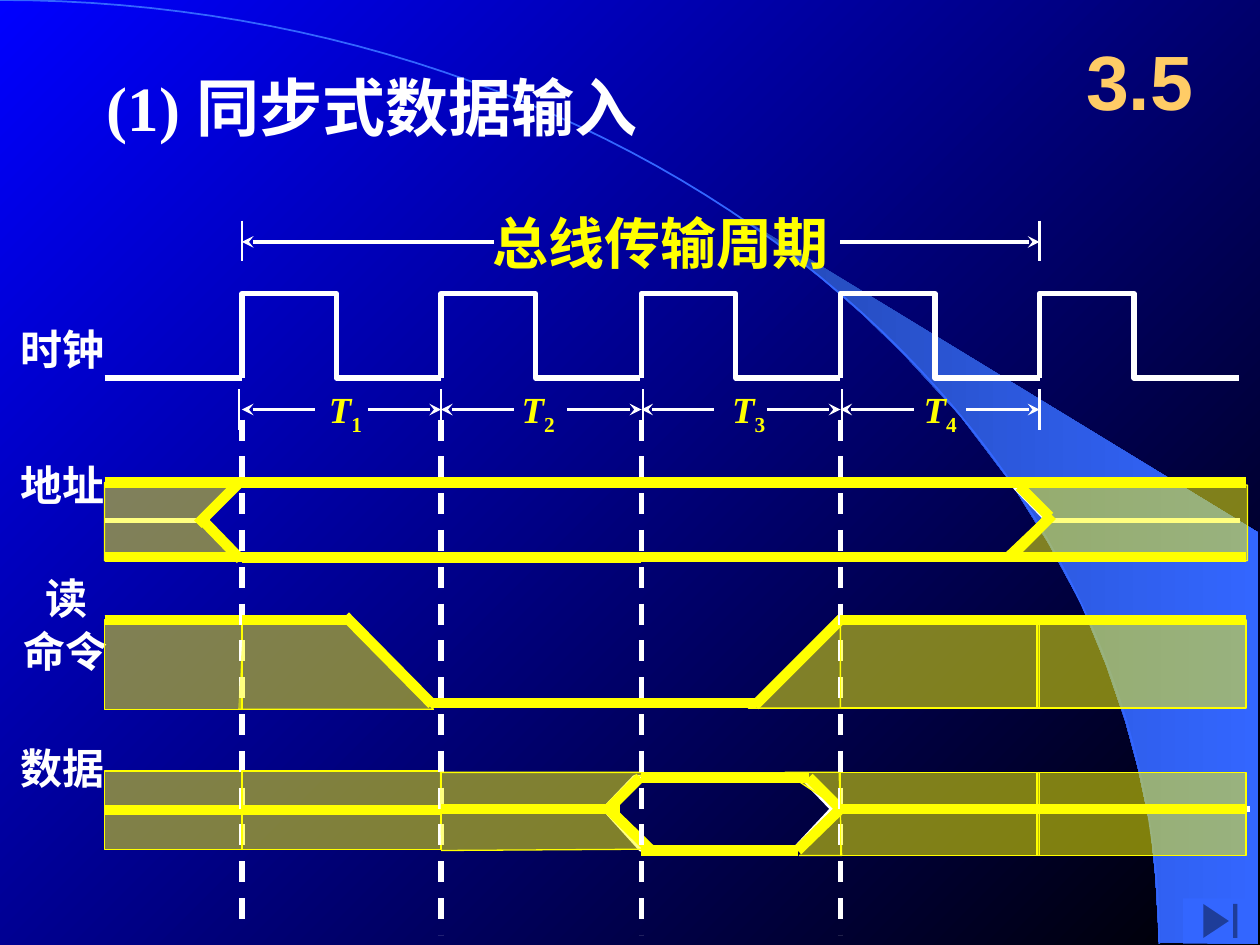
from dataclasses import dataclass
from itertools import pairwise
from math import cos, pi, sin

from lxml.etree import SubElement
from pptx import Presentation
from pptx.dml.color import RGBColor
from pptx.enum.dml import MSO_LINE_DASH_STYLE as Dash
from pptx.enum.shapes import MSO_CONNECTOR as Connector, MSO_SHAPE as Preset
from pptx.enum.text import MSO_ANCHOR as Anchor, PP_ALIGN as Align
from pptx.oxml.ns import qn
from pptx.util import Cm, Pt

WHITE = RGBColor(0xFF, 0xFF, 0xFF)
YELLOW = RGBColor(0xFF, 0xFF, 0x00)
ORANGE = RGBColor(0xFF, 0xCC, 0x66)
BLUE = RGBColor(0x00, 0x00, 0xFF)
BLACK = RGBColor(0x00, 0x00, 0x00)
SKY = RGBColor(0x33, 0x66, 0xFF)
DEEP_SKY = RGBColor(0x24, 0x49, 0xB6)
SERIF, SANS, CJK = "Times New Roman", "Arial", "Noto Sans CJK SC"

# Timing grid in inches: the clock edges and the level of each signal
EDGES = [round(1.92 + 1.583 * i, 2) for i in range(5)]
LEFT, RIGHT = 0.83, 9.89
ADDRESS_HIGH, ADDRESS_MID, ADDRESS_LOW = 3.83, 4.13, 4.42
COMMAND_HIGH, COMMAND_LOW = 4.92, 5.58
DATA_HIGH, DATA_MID, DATA_LOW = 6.17, 6.42, 6.75
Point = tuple[float, float]


@dataclass
class Stroke:
    color: RGBColor
    width: float
    dashed: bool = False
    arrow: str = ""


@dataclass
class Label:
    lines: list[str]
    left: float
    top: float
    width: float
    height: float
    size: float
    color: RGBColor = WHITE
    font: str = SERIF
    margins: tuple[float, float, float, float] = (0, 0.05, 0.1, 0.05)
    wrap: bool = True


THIN = Stroke(WHITE, 1.25)
WIRE = Stroke(WHITE, 3)
TRACE = Stroke(YELLOW, 6)
BORDER = Stroke(YELLOW, 0.75)
UNDERLINE = Stroke(YELLOW, 3)
GUIDE = Stroke(WHITE, 3, dashed=True)
ARROW_START = Stroke(WHITE, 2.25, arrow="a:headEnd")
ARROW_END = Stroke(WHITE, 2.25, arrow="a:tailEnd")

presentation = Presentation()
presentation.slide_width, presentation.slide_height = Cm(25.4), Cm(19.05)
slide = presentation.slides.add_slide(presentation.slide_layouts[6])
shapes = slide.shapes


def length(inches: float) -> Cm:
    return Cm(inches * 2.54)


def apply_gradient(fill, first: RGBColor, last: RGBColor, angle: float) -> None:
    fill.gradient()
    fill.gradient_angle = angle
    for stop, color in zip(fill.gradient_stops, (first, last)):
        stop.color.rgb = color


def apply_stroke(shape, stroke: Stroke) -> None:
    shape.line.color.rgb = stroke.color
    shape.line.width = Pt(stroke.width)
    if stroke.dashed:
        shape.line.dash_style = Dash.DASH
    if stroke.arrow:
        SubElement(shape.line._get_or_add_ln(), qn(stroke.arrow), type="stealth")


def line(start: Point, end: Point, stroke: Stroke):
    connector = shapes.add_connector(Connector.STRAIGHT, *map(length, start + end))
    apply_stroke(connector, stroke)
    SubElement(connector._element.spPr, qn("a:effectLst"))
    return connector


def level(left: float, right: float, *heights: float, stroke: Stroke = TRACE) -> None:
    for height in heights:
        line((left, height), (right, height), stroke)


def outline(points: list[Point], stroke: Stroke | None, closed: bool = False):
    corners = [(length(x), length(y)) for x, y in points]
    builder = shapes.build_freeform(*corners[0])
    builder.add_line_segments(corners[1:], close=closed)
    shape = builder.convert_to_shape()
    shape.shadow.inherit = False
    shape.fill.background()
    if stroke:
        apply_stroke(shape, stroke)
    else:
        shape.line.fill.background()
    return shape


def shade(shape):
    shape.shadow.inherit = False
    shape.fill.solid()
    shape.fill.fore_color.rgb = YELLOW
    color = shape._element.spPr.find(f"{qn('a:solidFill')}/{qn('a:srgbClr')}")
    SubElement(color, qn("a:alpha"), val="50000")
    apply_stroke(shape, BORDER)
    return shape


def band(left: float, top: float, right: float, bottom: float):
    box = map(length, (left, top, right - left, bottom - top))
    return shade(shapes.add_shape(Preset.RECTANGLE, *box))


def idle_data(left: float, right: float) -> None:
    rectangle = band(left, 6.12, right, 6.74)
    middle = line((left, DATA_MID), (right, DATA_MID), TRACE)
    middle.begin_connect(rectangle, 1)
    middle.end_connect(rectangle, 3)


def format_run(run, label: Label) -> None:
    run.font.name, run.font.size, run.font.bold = label.font, Pt(label.size), True
    run.font.color.rgb = label.color
    SubElement(run._r.get_or_add_rPr(), qn("a:ea"), typeface=CJK)


def text_box(label: Label):
    box = shapes.add_textbox(*map(length, (label.left, label.top, label.width, label.height)))
    frame = box.text_frame
    frame.word_wrap = label.wrap
    (frame.margin_left, frame.margin_top,
     frame.margin_right, frame.margin_bottom) = map(length, label.margins)
    frame.text = "\n".join(label.lines)
    for paragraph in frame.paragraphs:
        if label.font != SANS:
            paragraph.line_spacing = Pt(label.size * 1.25)
        format_run(paragraph.runs[0], label)
    return frame


# Background with the lit wedge and the arc
apply_gradient(slide.background.fill, BLUE, BLACK, 315)
wedge = outline([
    (9.2, 7.48), (9.99, 7.49), (9.99, 4.23), (5.89, 1.73), (6.24, 1.99), (6.53, 2.22),
    (6.85, 2.5), (7.16, 2.8), (7.62, 3.3), (8.03, 3.84), (8.32, 4.31), (8.58, 4.79),
    (8.78, 5.28), (8.93, 5.72), (9.03, 6.09), (9.13, 6.56), (9.17, 6.96)], None, True)
apply_gradient(wedge.fill, DEEP_SKY, SKY, 0)
angles = [pi / 2 * i / 60 for i in range(61)]
outline([(9.2 * sin(a), 7.49 * (1 - cos(a))) for a in angles], Stroke(SKY, 1))

# Headings and signal names
text_box(Label(["(1) 同步式数据输入"], 0.75, 0.47, 5.17, 0.7, 36,
               margins=(0.1, 0.05, 0.1, 0.05)))
text_box(Label(["总线传输周期"], 3.91, 1.63, 2.68, 0.53, 32, YELLOW, CJK, (0, 0, 0, 0), False))
for name, top in (("时钟", 2.5), ("地址", 3.58), ("数据", 5.83)):
    text_box(Label([name], 0.08, top, 1, 0.5, 24, margins=(0.08, 0.05, 0.1, 0.05)))
command = text_box(Label(["读", "命令"], 0.19, 4.48, 1, 0.9, 24))
command.paragraphs[0]._p.get_or_add_pPr().set("marL", str(length(0.17)))

# Clock, its periods and the whole transfer cycle
level(LEFT, EDGES[0], 3, stroke=WIRE)
for edge in EDGES:
    outline([(edge, 3), (edge, 2.33), (edge + 0.75, 2.33), (edge + 0.75, 3),
             (edge + 1.58, 3)], WIRE)
for x in (1.9, 3.5, 5.1, 6.68, 8.25):
    line((x, 3.09), (x, 3.41), THIN)
for x in (EDGES[0], EDGES[-1]):
    line((x, 1.75), (x, 2.07), THIN)
level(EDGES[0], 3.92, 1.92, stroke=ARROW_START)
level(EDGES[3], EDGES[4], 1.92, stroke=ARROW_END)
for number, (start, end) in enumerate(pairwise(EDGES), 1):
    level(start, start + 0.58, 3.25, stroke=ARROW_START)
    level(start + 1, end, 3.25, stroke=ARROW_END)
for number, left in enumerate((2.61, 4.14, 5.81, 7.33), 1):
    period = Label(["T"], left, 3.07, 0.28, 0.35, 21, YELLOW, SERIF, (0, 0, 0, 0), False)
    paragraph = text_box(period).paragraphs[0]
    paragraph.line_spacing = None
    paragraph.runs[0].font.italic = True
    index = paragraph.add_run()
    index.text = str(number)
    format_run(index, period)
    index.font._element.set("baseline", "-25000")

# White wires under the traces
level(LEFT, 2.78, 4.9, stroke=WIRE)
level(6.69, 9.87, 4.9, stroke=WIRE)
level(LEFT, 1.67, ADDRESS_MID, stroke=WIRE)
level(8.33, 9.84, ADDRESS_MID, stroke=WIRE)
level(6.61, 9.92, DATA_MID, stroke=WIRE)
outline([(1.91, 3.83), (1.62, 4.13), (1.92, 4.43), (8.02, 4.43), (8.31, 4.13),
         (8.02, 3.83)], Stroke(WHITE, 2.5), True)
outline([(4.8, 6.42), (5.04, 6.17), (6.37, 6.17), (6.61, 6.42), (6.31, 6.74),
         (5.09, 6.74)], WIRE, True)

# Before T1
band(LEFT, 4.92, EDGES[0], 5.63)
idle_data(LEFT, EDGES[0])
shade(outline([(1.62, 4.17), (1.84, 3.84), (0.83, 3.83), (0.83, 4.45), (1.9, 4.45)], BORDER))
level(LEFT, EDGES[0], ADDRESS_HIGH, ADDRESS_LOW, COMMAND_HIGH)
line((1.91, 4.44), (1.59, 4.11), TRACE)
line((1.89, 3.84), (1.57, 4.16), TRACE)
line((EDGES[0], 3.33), (EDGES[0], 7.38), GUIDE)

# T1
shade(outline([(1.89, 5.63), (3.44, 5.63), (2.76, 4.92), (1.93, 4.94)], BORDER))
level(EDGES[0], EDGES[1], 3.85, 4.45, stroke=UNDERLINE)
idle_data(EDGES[0], EDGES[1])
level(EDGES[0], 2.75, COMMAND_HIGH)
level(EDGES[0], EDGES[1], ADDRESS_HIGH, ADDRESS_LOW)
line((3.43, 5.59), (2.74, 4.89), TRACE)
line((EDGES[1], 3.33), (EDGES[1], 7.42), GUIDE)

# T2
level(EDGES[1], EDGES[2], 3.85, 4.45, stroke=UNDERLINE)
level(EDGES[1], EDGES[2], ADDRESS_HIGH, ADDRESS_LOW)
level(3.42, 5.13, COMMAND_LOW)
level(EDGES[1], 4.92, DATA_MID)
shade(outline([(3.49, 6.13), (5.11, 6.13), (4.83, 6.42), (5.11, 6.74), (3.5, 6.75)], BORDER))
line((4.83, DATA_MID), (5.08, DATA_HIGH), TRACE)
line((4.83, DATA_MID), (5.17, DATA_LOW), TRACE)
line((EDGES[2], 3.33), (EDGES[2], 7.42), GUIDE)

# T3
level(EDGES[2], 6, COMMAND_LOW)
level(EDGES[2], EDGES[3], ADDRESS_HIGH, ADDRESS_LOW)
level(EDGES[2], 6.42, DATA_HIGH)
level(EDGES[2], 6.33, DATA_LOW)
line((6.69, 4.9), (5.99, 5.6), TRACE)
line((6.33, DATA_LOW), (EDGES[3], DATA_MID), TRACE)
line((6.42, DATA_HIGH), (EDGES[3], DATA_MID), TRACE)
shade(outline([(5.94, 5.62), (6.67, 5.62), (6.67, 4.87)], BORDER, True))
shade(outline([(6.67, 6.42), (6.23, 6.13), (6.66, 6.13), (6.68, 6.79), (6.34, 6.79)], BORDER))
line((EDGES[3], 3.33), (EDGES[3], 7.42), GUIDE)

# T4 and after
for left, right in ((EDGES[3], EDGES[4]), (8.23, RIGHT)):
    level(left, right, ADDRESS_HIGH, ADDRESS_LOW, COMMAND_HIGH, DATA_MID)
    band(left, 4.92, right, 5.62)
    band(left, 6.13, right, 6.79)
line((8.35, 4.09), (8.03, 4.41), TRACE)
line((8.33, 4.1), (8.09, 3.86), TRACE)
shade(outline([(8.06, 3.83), (9.9, 3.85), (9.9, 4.45), (7.92, 4.45), (8.31, 4.08)], BORDER))

# Section number and end button
section = text_box(Label(["3.5"], 8.42, 0.17, 1.25, 0.92, 44, ORANGE, SANS,
                         (0.1, 0.05, 0.1, 0.05)))
section.vertical_anchor = Anchor.MIDDLE
section.paragraphs[0].alignment = Align.CENTER
button = shapes.add_shape(Preset.ACTION_BUTTON_END, *map(length, (9.39, 7.13, 0.59, 0.36)))
button.shadow.inherit = False
button.fill.solid()
button.fill.fore_color.rgb = SKY
button.line.fill.background()

presentation.save("out.pptx")
